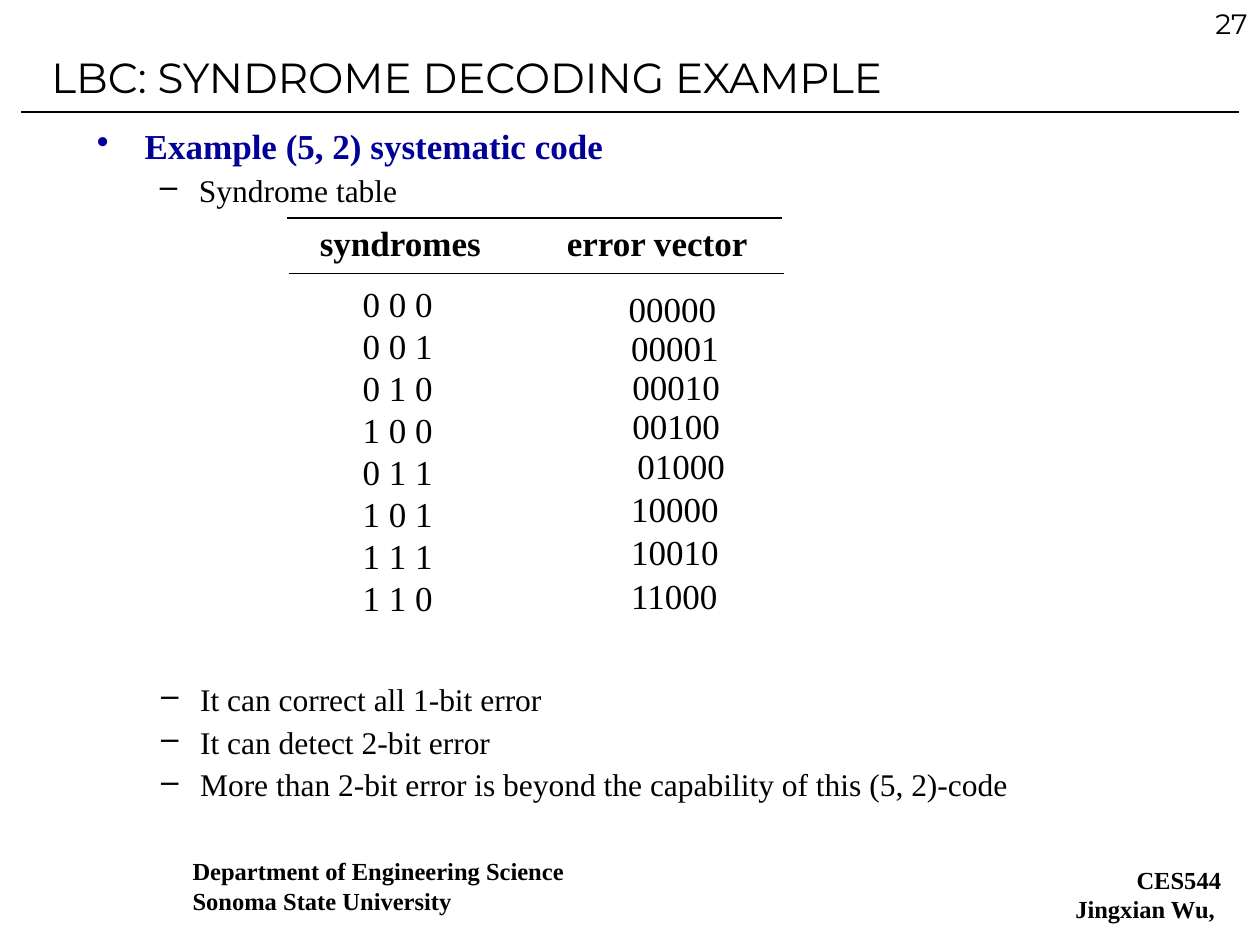
from lxml import etree
from pptx import Presentation
from pptx.dml.color import RGBColor
from pptx.enum.shapes import MSO_CONNECTOR as Connector
from pptx.enum.text import MSO_ANCHOR as Anchor, PP_ALIGN as Align
from pptx.oxml.ns import qn
from pptx.util import Inches, Pt

BLACK, NAVY = "000000", "000099"
SERIF, SANS = "Times New Roman", "Montserrat"
TABLE_FONT = {"size": Pt(20), "name": SERIF}
TABLE_LINE = {"line_spacing": Pt(24)}
DASH = {"mark": "–", "left": 0.81, "hang": 0.31}

SYNDROMES = ["0 0 0", "0 0 1", "0 1 0", "1 0 0", "0 1 1", "1 0 1", "1 1 1", "1 1 0"]
VECTORS = [
    ("00000", 4.89, 2.23),
    ("00001", 4.91, 2.54),
    ("00010", 4.92, 2.85),
    ("00100", 4.92, 3.16),
    ("01000", 4.96, 3.48),
    ("10000", 4.91, 3.82),
    ("10010", 4.91, 4.16),
    ("11000", 4.91, 4.51),
]
CONCLUSIONS = [
    "It can correct all 1-bit error",
    "It can detect 2-bit error",
    "More than 2-bit error is beyond the capability of this (5, 2)-code",
]


def paint(target, color):
    target.rgb = RGBColor.from_string(color)


def apply_format(target, values):
    for name, value in values.items():
        setattr(target, name, value)


def set_indent(para, left, hang=0.0):
    properties = para._p.get_or_add_pPr()
    properties.set("marL", str(Inches(left)))
    properties.set("indent", str(-Inches(hang)))
    return properties


def add_bullet(para, color, mark, left, hang):
    properties = set_indent(para, left, hang)
    bullet_color = etree.SubElement(properties, qn("a:buClr"))
    etree.SubElement(bullet_color, qn("a:srgbClr"), val=color)
    etree.SubElement(properties, qn("a:buChar"), char=mark)


def add_box(page, left, top, width, height, anchor=Anchor.TOP):
    box = page.shapes.add_textbox(Inches(left), Inches(top), Inches(width), Inches(height))
    apply_format(box.text_frame, {"word_wrap": True, "vertical_anchor": anchor})
    return box.text_frame


def write(frame, index, text, font, layout=None, color=BLACK, bullet=None):
    para = frame.add_paragraph() if index else frame.paragraphs[0]
    apply_format(para, layout or {})
    if bullet:
        add_bullet(para, color, **bullet)
    span = para.add_run()
    span.text = text
    apply_format(span.font, font)
    paint(span.font.color, color)
    return para


def add_rule(page, left, right, top):
    rule = page.shapes.add_connector(
        Connector.STRAIGHT, Inches(left), Inches(top), Inches(right), Inches(top)
    )
    rule.line.width = Pt(0.75)
    paint(rule.line.color, BLACK)
    etree.SubElement(rule._element.spPr, qn("a:effectLst"))


def add_header(page):
    add_rule(page, 0.17, 9.83, 0.89)
    number = add_box(page, 7.92, 0, 2.08, 0.5)
    write(number, 0, "27", {"size": Pt(16), "name": SANS}, {"alignment": Align.RIGHT})
    title = add_box(page, 0.31, 0.19, 8.5, 0.83, Anchor.MIDDLE)
    write(title, 0, "LBC: SYNDROME DECODING EXAMPLE", {"size": Pt(24), "name": SANS})


def add_footer(page, lines, left, top, width, alignment, indent):
    frame = add_box(page, left, top, width, 0.5)
    font = {"size": Pt(14), "name": SERIF, "bold": True}
    for index, text in enumerate(lines):
        para = write(frame, index, text, font, {"alignment": alignment, "line_spacing": Pt(17)})
        set_indent(para, indent)


def add_intro(page, left, top, width, height):
    frame = add_box(page, left, top, width, height)
    write(frame, 0, "Example (5, 2) systematic code",
          {"size": Pt(20), "name": SERIF, "bold": True}, {"line_spacing": 0.9},
          NAVY, {"mark": "•", "left": 0.38, "hang": 0.38})
    write(frame, 1, "Syndrome table", {"size": Pt(18), "name": SERIF},
          {"level": 1, "line_spacing": 0.9, "space_before": Pt(4.5)}, bullet=DASH)


def add_syndrome_table(page):
    add_rule(page, 2.28, 6.21, 1.73)
    add_rule(page, 2.29, 6.22, 2.17)
    for text, left, width in [("syndromes", 2.44, 1.5), ("error vector", 4.4, 1.66)]:
        heading = add_box(page, left, 1.71, width, 0.44)
        write(heading, 0, text, TABLE_FONT | {"bold": True}, TABLE_LINE)
    for text, left, top in VECTORS:
        write(add_box(page, left, top, 0.91, 0.44), 0, text, TABLE_FONT, TABLE_LINE)
    column = add_box(page, 2.78, 2.19, 0.82, 3.1)
    for index, text in enumerate(SYNDROMES):
        write(column, index, text, TABLE_FONT, TABLE_LINE)


def add_conclusions(page, left, top, width, height):
    frame = add_box(page, left, top, width, height)
    for index, text in enumerate(CONCLUSIONS):
        layout = {"level": 1, "line_spacing": 0.9, "space_before": Pt(5 if index else 0)}
        write(frame, index, text, {"size": Pt(18), "name": SERIF}, layout, bullet=DASH)


def main():
    deck = Presentation()
    apply_format(deck, {"slide_width": Inches(10), "slide_height": Inches(7.5)})
    page = deck.slides.add_slide(deck.slide_layouts[6])
    add_header(page)
    add_footer(page, ["CES544", "Jingxian Wu, "], 7.39, 6.81, 2.4, Align.RIGHT, 0)
    add_footer(page, ["Department of Engineering Science", "Sonoma State University"],
               0.43, 6.74, 4.83, Align.LEFT, 1)
    add_intro(page, 0.67, 0.98, 8.5, 0.74)
    add_syndrome_table(page)
    add_conclusions(page, 0.68, 5.38, 8.5, 0.74)
    deck.save("out.pptx")


if __name__ == "__main__":
    main()
